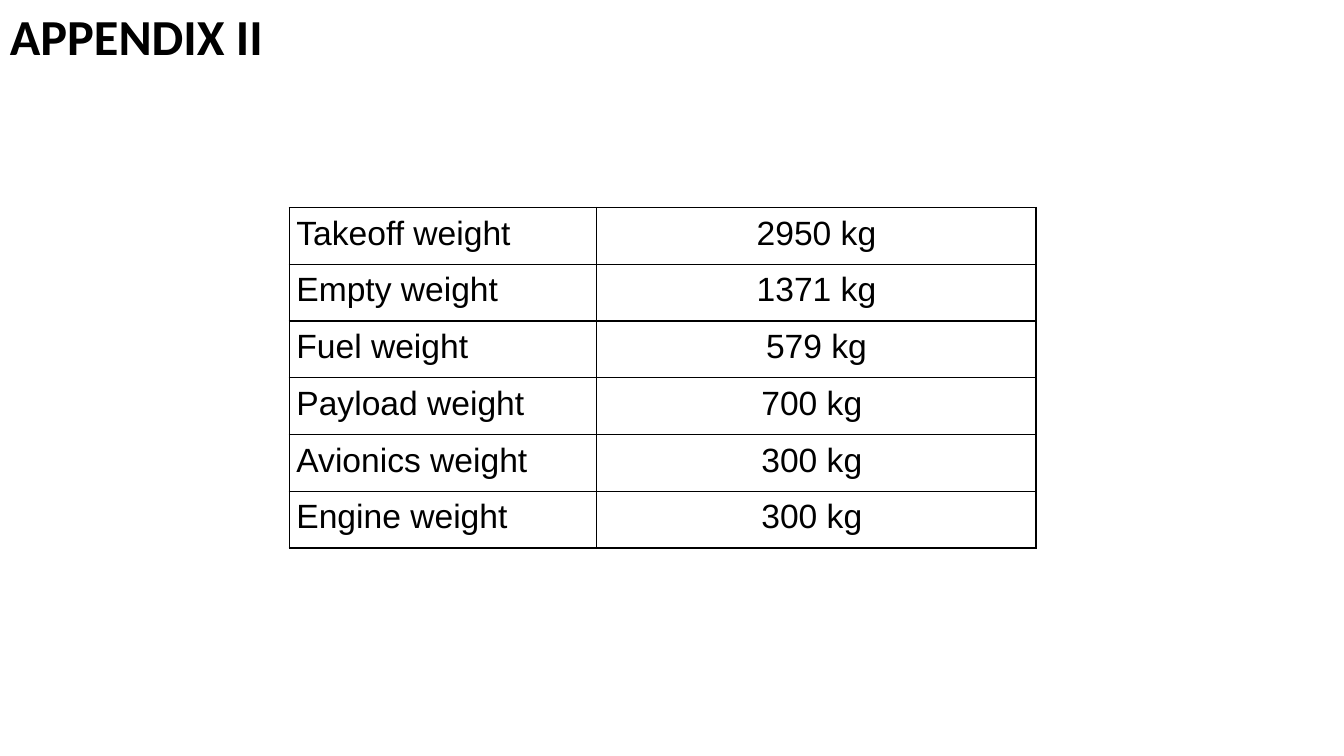
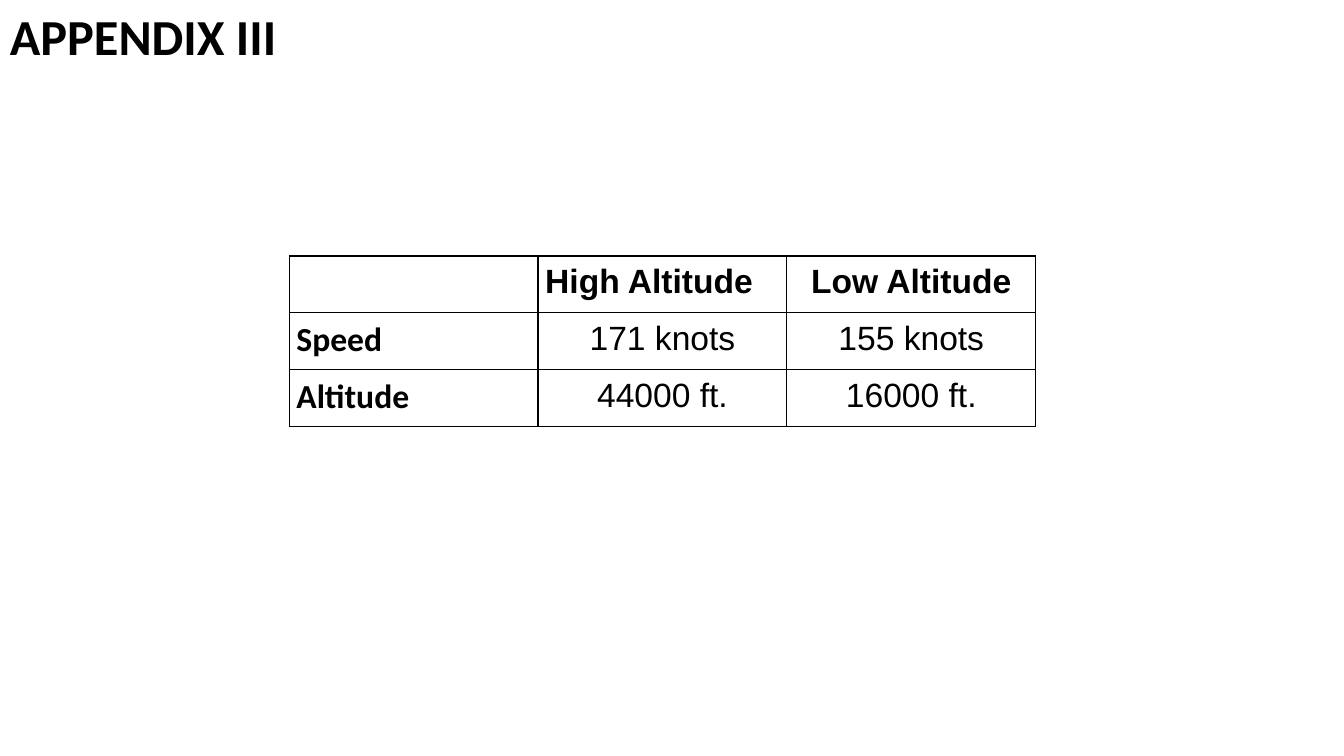
import pptx
import pptx.dml.color
import pptx.enum.text
import pptx.util
import lxml.etree
from pptx.oxml.ns import qn
from pptx.util import Cm

BLACK = pptx.dml.color.RGBColor(0, 0, 0)
WHITE = pptx.dml.color.RGBColor(255, 255, 255)
ALIGN = pptx.enum.text.PP_ALIGN


class AppendixDeck:
    """Style and current slide of the appendix deck."""

    title_font = "Calibri"
    body_font = "Arial"
    title_size = 36
    body_size = 24
    table_left = Cm(7.29)
    row_height = Cm(1.43)
    cell_margin = Cm(0.18)
    border_width = pptx.util.Pt(1)

    def __init__(self):
        self.deck = pptx.Presentation()
        self.deck.slide_width = Cm(33.87)
        self.deck.slide_height = Cm(19.05)
        self.slide = None

    def add_page(self, title):
        self.slide = self.deck.slides.add_slide(self.deck.slide_layouts[6])
        box = self.slide.shapes.add_textbox(0, 0, Cm(16.71), Cm(1.8))
        box.text_frame.word_wrap = True
        self.set_text(box.text_frame, title, self.title_font, self.title_size, True, ALIGN.LEFT)

    def set_text(self, frame, text, font, size, bold, align):
        frame.text = text
        para = frame.paragraphs[0]
        para.alignment = align
        for span in para.runs:
            span.font.name = font
            span.font.size = pptx.util.Pt(size)
            span.font.bold = bold
            span.font.color.rgb = BLACK

    def add_table(self, top, widths, rows, headed=False, left_headings=()):
        frame = self.slide.shapes.add_table(
            len(rows), len(widths), self.table_left, top, sum(widths), self.row_height * len(rows))
        table = frame.table
        table.first_row = False
        table.horz_banding = False
        for column, width in zip(table.columns, widths):
            column.width = width
        for row_index, texts in enumerate(rows):
            table.rows[row_index].height = self.row_height
            for column_index, text in enumerate(texts):
                label = column_index == 0
                cell = table.cell(row_index, column_index)
                self.style_cell(cell)
                self.set_text(
                    cell.text_frame, text,
                    self.title_font if headed and label else self.body_font,
                    self.body_size,
                    headed and (label or row_index == 0),
                    ALIGN.LEFT if label or text in left_headings else ALIGN.CENTER)

    def style_cell(self, cell):
        cell.margin_left = cell.margin_right = self.cell_margin
        cell.margin_top = cell.margin_bottom = self.cell_margin
        cell.fill.solid()
        cell.fill.fore_color.rgb = WHITE
        properties = cell._tc.get_or_add_tcPr()
        for index, side in enumerate(("a:lnL", "a:lnR", "a:lnT", "a:lnB")):
            line = lxml.etree.Element(qn(side), w=str(int(self.border_width)))
            fill = lxml.etree.SubElement(line, qn("a:solidFill"))
            lxml.etree.SubElement(fill, qn("a:srgbClr"), val=str(BLACK))
            properties.insert(index, line)


def main():
    appendix = AppendixDeck()

    appendix.add_page("APPENDIX II")
    appendix.add_table(Cm(5.23), [Cm(7.75), Cm(11.07)], [
        ("Takeoff weight", "2950 kg"),
        ("Empty weight", "1371 kg"),
        ("Fuel weight", "579 kg"),
        ("Payload weight", "700 kg "),
        ("Avionics weight", "300 kg "),
        ("Engine weight", "300 kg "),
    ])

    appendix.add_page("APPENDIX III")
    appendix.add_table(Cm(6.45), [Cm(6.27)] * 3, [
        ("", "High Altitude", "Low Altitude"),
        ("Speed", "171 knots", "155 knots"),
        ("Altitude", "44000 ft.", "16000 ft."),
    ], headed=True, left_headings=("High Altitude",))

    appendix.deck.save("out.pptx")


if __name__ == "__main__":
    main()
